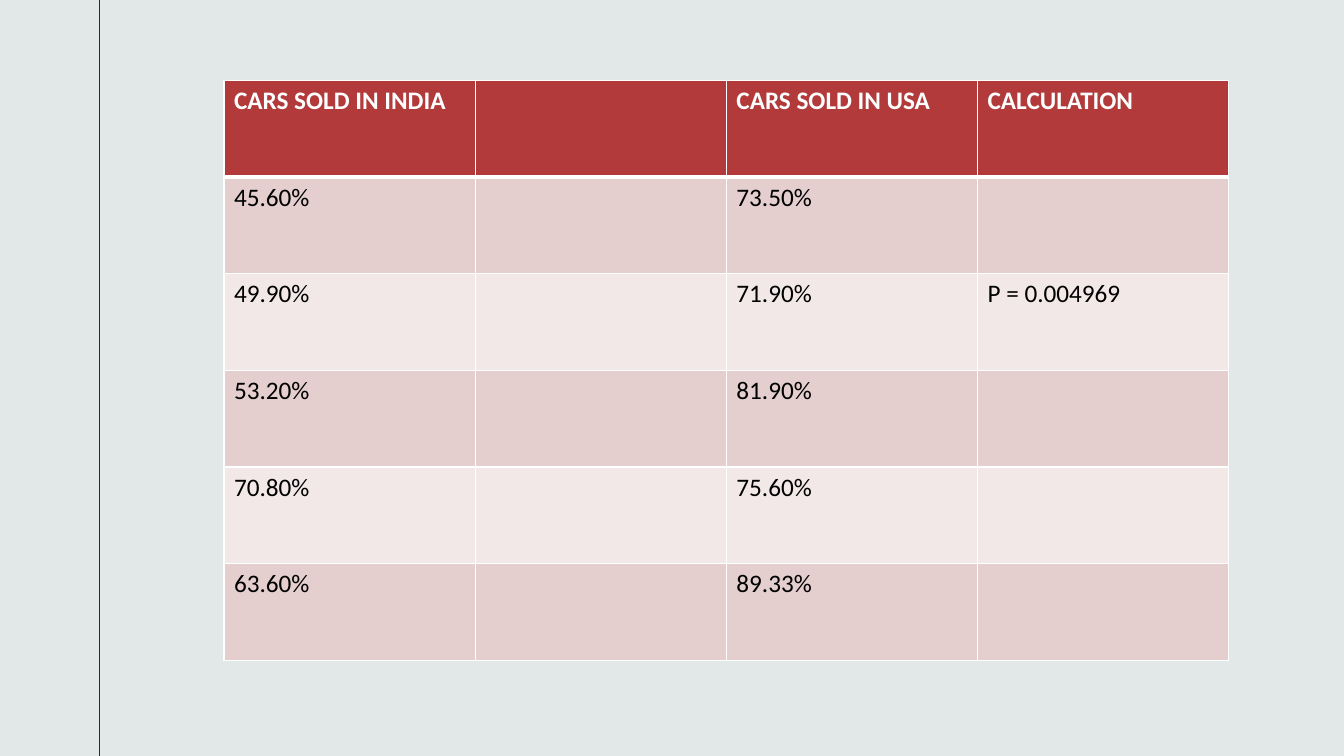
import lxml.etree
import pptx
import pptx.dml.color
import pptx.enum.shapes
import pptx.oxml.ns
import pptx.util

COLORS = {
    "background": "E2E8E8",
    "margin": "242941",
    "header": "B23A3A",
    "odd": "E4CECE",
    "even": "F2E8E8",
    "white": "FFFFFF",
    "black": "000000",
}

SALES = [
    ("CARS SOLD IN INDIA", "", "CARS SOLD IN USA", "CALCULATION"),
    ("45.60%", "", "73.50%", ""),
    ("49.90%", "", "71.90%", "P = 0.004969"),
    ("53.20%", "", "81.90%", ""),
    ("70.80%", "", "75.60%", ""),
    ("63.60%", "", "89.33%", ""),
]


def rgb(name):
    return pptx.dml.color.RGBColor.from_string(COLORS[name])


class SlideBuilder:
    font = "Calibri"
    size = pptx.util.Pt(18)
    width = pptx.util.Inches(13.33)
    height = pptx.util.Inches(7.5)

    def __init__(self, deck):
        deck.slide_width, deck.slide_height = self.width, self.height
        self.slide = deck.slides.add_slide(deck.slide_layouts[6])
        background = self.slide.background.fill
        background.solid()
        background.fore_color.rgb = rgb("background")

    def x(self, share):
        return round(self.width * share / 100)

    def y(self, share):
        return round(self.height * share / 100)

    def vertical_line(self, left, color, points):
        rule = self.slide.shapes.add_connector(
            pptx.enum.shapes.MSO_CONNECTOR.STRAIGHT,
            self.x(left), 0, self.x(left), self.height)
        rule.line.color.rgb = rgb(color)
        rule.line.width = pptx.util.Pt(points)
        lxml.etree.SubElement(rule._element.spPr, pptx.oxml.ns.qn("a:effectLst"))

    def table(self, rows, left, top, width, height):
        grid = self.slide.shapes.add_table(
            len(rows), len(rows[0]),
            self.x(left), self.y(top), self.x(width), self.y(height)).table
        for row, values in enumerate(rows):
            for column, value in enumerate(values):
                self.cell(grid.cell(row, column), value, row)

    def cell(self, cell, value, row):
        header = row == 0
        self.borders(cell, top=3 if row == 1 else 1, bottom=3 if header else 1)
        cell.fill.solid()
        band = "header" if header else "odd" if row % 2 else "even"
        cell.fill.fore_color.rgb = rgb(band)
        paragraph = cell.text_frame.paragraphs[0]
        paragraph.font.size = self.size
        if value:
            run = paragraph.add_run()
            run.text = value
            run.font.name = self.font
            run.font.size = self.size
            run.font.bold = header
            run.font.color.rgb = rgb("white" if header else "black")

    def borders(self, cell, top, bottom):
        qn = pptx.oxml.ns.qn
        properties = cell._tc.get_or_add_tcPr()
        for side, points in (("L", 1), ("R", 1), ("T", top), ("B", bottom)):
            edge = lxml.etree.SubElement(
                properties, qn(f"a:ln{side}"), w=str(pptx.util.Pt(points)))
            fill = lxml.etree.SubElement(edge, qn("a:solidFill"))
            lxml.etree.SubElement(fill, qn("a:srgbClr"), val=COLORS["white"])


def main():
    deck = pptx.Presentation()
    builder = SlideBuilder(deck)
    builder.vertical_line(7.37, "margin", 0.75)
    builder.table(SALES, left=16.67, top=10.67, width=74.75, height=76.67)
    deck.save("out.pptx")


if __name__ == "__main__":
    main()
